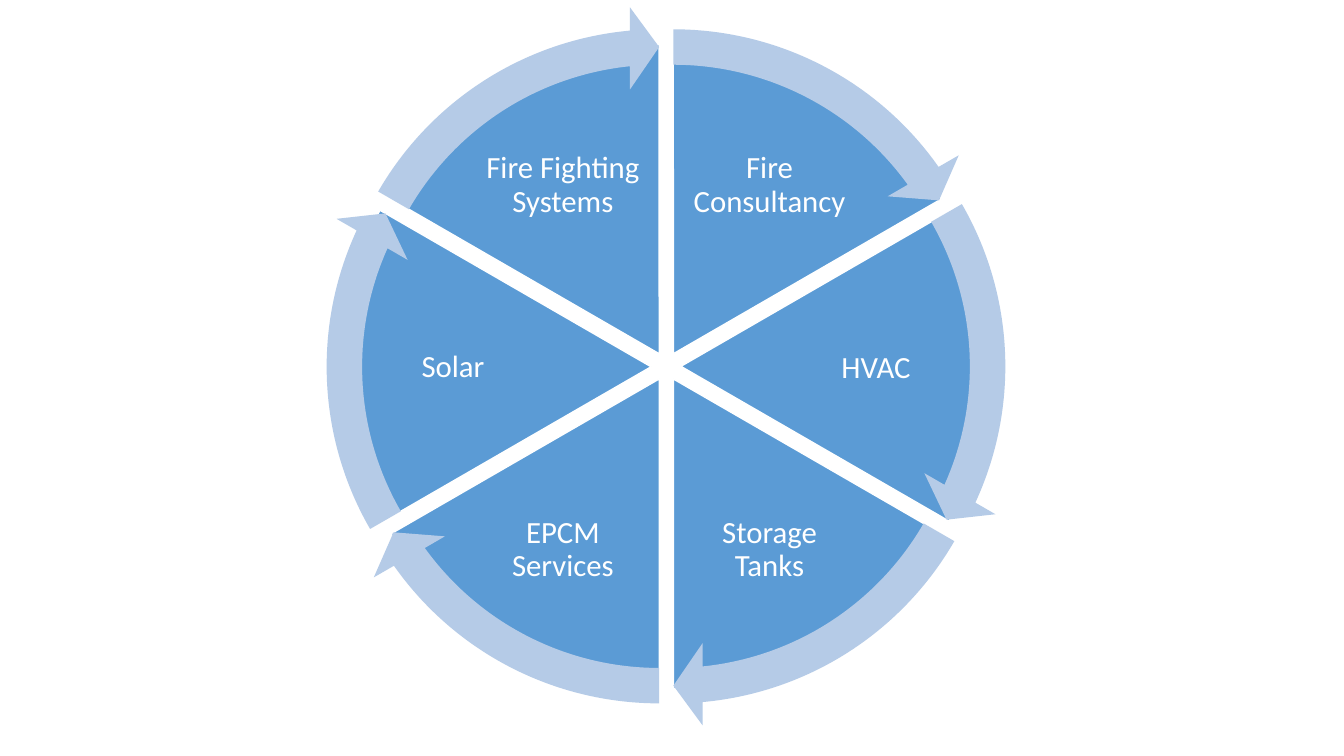
from collections import namedtuple

from pptx import Presentation
from pptx.dml.color import RGBColor
from pptx.enum.shapes import MSO_SHAPE
from pptx.enum.text import MSO_ANCHOR, PP_ALIGN
from pptx.util import Pt

PIE = MSO_SHAPE.PIE
ARROW = MSO_SHAPE.CIRCULAR_ARROW
MIDDLE = MSO_ANCHOR.MIDDLE
CENTER = PP_ALIGN.CENTER

FULL_TURN = 216
STEP = FULL_TURN / 6
TOP_ANGLE = 162
HEAD_ANGLE = 3.275
ARROW_SIZE = (496.8, 496.8)
PIE_SIZE = (442.1, 442.1)

Service = namedtuple("Service", "label center pie_size label_center label_size")

SERVICES = [
    Service("Fire Consultancy", (481, 252.7), PIE_SIZE, (549.7, 132.5), (116, 89.3)),
    Service("HVAC", (486.4, 261.7), PIE_SIZE, (625.7, 263.2), (121, 87.1)),
    Service("Storage Tanks", (481, 270.7), PIE_SIZE, (549.7, 393.1), (116, 89.3)),
    Service("EPCM Services", (470.9, 270.7), PIE_SIZE, (402.1, 393.1), (116, 89.3)),
    Service("Solar", (465.1, 262), (449.3, 440.6), (323.6, 262.8), (123, 86.4)),
    Service("Fire Fighting Systems", (470.9, 252.7), PIE_SIZE, (402.1, 132.5), (116, 89.3)),
]


def color(hex_code):
    return RGBColor.from_string(hex_code)


def box(center, size):
    (x, y), (width, height) = center, size
    return Pt(x - width / 2), Pt(y - height / 2), Pt(width), Pt(height)


class ServiceWheel:
    """Draws the parts of a segmented cycle in one group on a slide."""

    font = "Calibri"
    font_size = 22
    sector_fill = "5B9BD5"
    arrow_fill = "B5CBE7"
    white = "FFFFFF"

    def __init__(self, slide):
        self.shapes = slide.shapes.add_group_shape().shapes

    def preset(self, kind, center, size, adjustments, fill):
        part = self.shapes.add_shape(kind, *box(center, size))
        part.shadow.inherit = False
        part.fill.solid()
        part.fill.fore_color.rgb = color(fill)
        for index, value in enumerate(adjustments):
            part.adjustments[index] = value
        return part

    def sector(self, center, size, start, end):
        sector = self.preset(PIE, center, size, (start, end), self.sector_fill)
        sector.line.color.rgb = color(self.white)
        sector.line.width = Pt(1)

    def arrow(self, center, start, end):
        tip = (end - HEAD_ANGLE) % FULL_TURN
        adjustments = (0.051, HEAD_ANGLE, tip, start, 0.059)
        arrow = self.preset(ARROW, center, ARROW_SIZE, adjustments, self.arrow_fill)
        arrow.line.fill.background()

    def label(self, text, center, size):
        frame = self.shapes.add_textbox(*box(center, size)).text_frame
        frame.word_wrap = True
        frame.vertical_anchor = MIDDLE
        frame.margin_left = frame.margin_right = Pt(2.2)
        frame.margin_top = frame.margin_bottom = Pt(2.2)
        paragraph = frame.paragraphs[0]
        paragraph.alignment = CENTER
        paragraph.line_spacing = 0.9
        run = paragraph.add_run()
        run.text = text
        run.font.name = self.font
        run.font.size = Pt(self.font_size)
        run.font.color.rgb = color(self.white)


def main():
    deck = Presentation()
    deck.slide_width, deck.slide_height = Pt(960), Pt(540)
    wheel = ServiceWheel(deck.slides.add_slide(deck.slide_layouts[6]))
    spans = [
        ((TOP_ANGLE + i * STEP) % FULL_TURN, (TOP_ANGLE + (i + 1) * STEP) % FULL_TURN)
        for i in range(len(SERVICES))
    ]
    for service, span in zip(SERVICES, spans):
        wheel.sector(service.center, service.pie_size, *span)
        wheel.label(service.label, service.label_center, service.label_size)
    for service, span in zip(SERVICES, spans):
        wheel.arrow(service.center, *span)
    deck.save("out.pptx")


if __name__ == "__main__":
    main()
